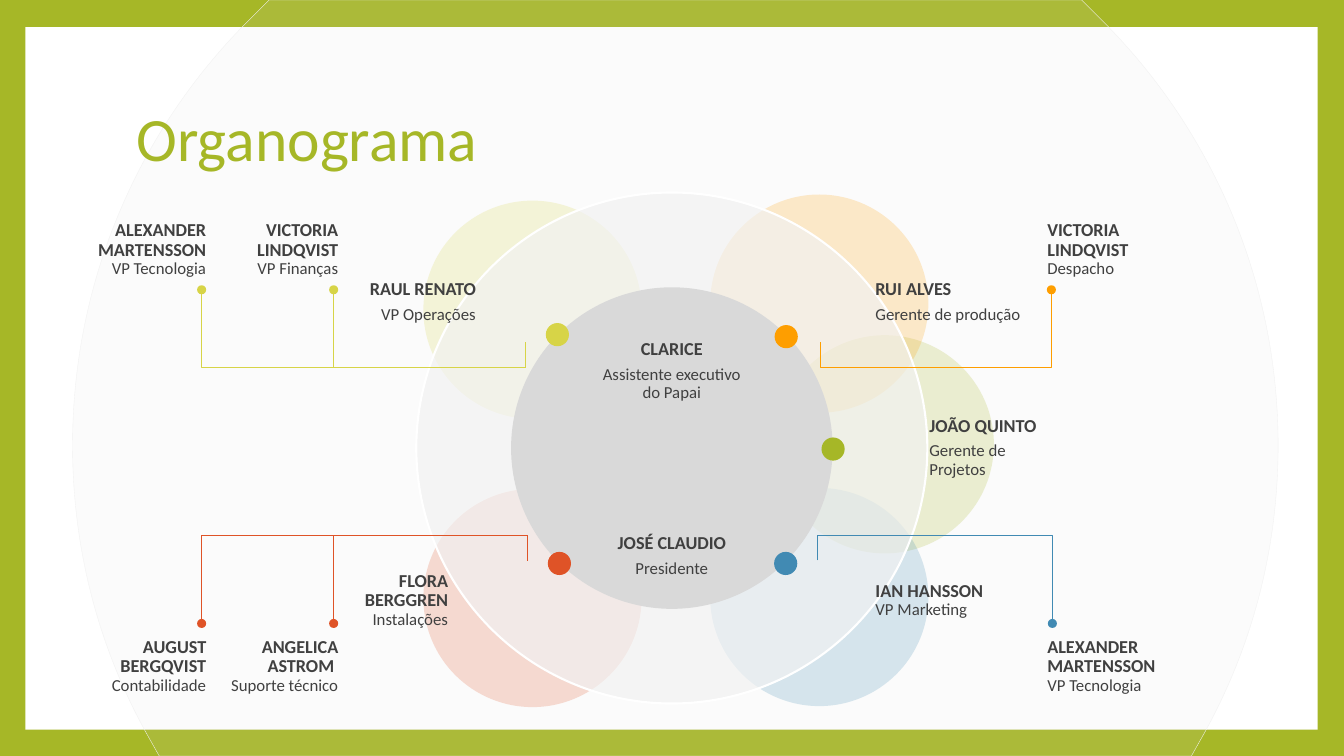
from lxml.etree import SubElement
from pptx import Presentation
from pptx.dml.color import RGBColor
from pptx.enum.shapes import MSO_CONNECTOR, MSO_SHAPE
from pptx.enum.text import MSO_ANCHOR, PP_ALIGN
from pptx.oxml.ns import qn
from pptx.util import Inches, Pt

COLUMNS, ROWS = 133.33, 75
LIME, BLUE, ORANGE, RED, YELLOW = "A6B727", "418AB3", "FE9E00", "DF5327", "D7D447"
WHITE, PALE, GRAY, INK = "FFFFFF", "F2F2F2", "D9D9D9", "404040"
LEFT, CENTER, RIGHT = PP_ALIGN.LEFT, PP_ALIGN.CENTER, PP_ALIGN.RIGHT

BACKDROP_LEFT, BACKDROP_RIGHT = 7.2, 126.8
BACKDROP_SIDE = [
    [(107.3, 0)],
    [(109.2, 1.9)],
    [(120.1, 12.7), (126.8, 27.7), (126.8, 44.2)],
    [(126.8, 54.5), (124.2, 64.2), (119.5, 72.7)],
    [(118.2, 75)],
]
PETALS = [
    (76.95, 33.25, LIME),
    (70.45, 48.4, BLUE),
    (70.45, 19.3, ORANGE),
    (42, 48.5, RED),
    (42, 19.9, YELLOW),
]
HUB_DOTS = [
    (54.15, 32.05, YELLOW),
    (76.85, 32.25, ORANGE),
    (76.8, 54.75, BLUE),
    (81.5, 43.4, LIME),
    (54.35, 54.75, RED),
]
BRANCHES = [
    (52.1, 33.95, 33.1, 29.2, YELLOW),
    (52.1, 33.95, 20, 29.2, YELLOW),
    (52.3, 55.6, 33.1, 61.4, RED),
    (52.3, 55.6, 20, 61.4, RED),
    (81.4, 33.95, 104.3, 29.2, ORANGE),
    (81.1, 55.6, 104.4, 61.4, BLUE),
]
SPACED_LABELS = [
    ("JOSÉ CLAUDIO", "Presidente", 59.35, 51.4, 14.6, 7.5, CENTER),
    ("RAUL RENATO", "VP Operações", 35.4, 27, 11.8, 5.9, RIGHT),
    ("RUI ALVES", "Gerente de produção", 86.85, 27, 16.3, 5.9, LEFT),
    ("JOÃO QUINTO", "Gerente de Projetos", 92.2, 41.45, 11.8, 5.9, LEFT),
]
STACKED_LABELS = [
    ("VICTORIA LINDQVIST", "VP Finanças", 21.75, 21, 11.8, 7.5, RIGHT),
    ("AUGUST BERGQVIST", "Contabilidade", 8.65, 62.35, 11.8, 7.5, RIGHT),
    ("ALEXANDER MARTENSSON", "VP Tecnologia", 7.15, 21, 13.3, 7.5, RIGHT),
    ("ANGELICA ASTROM ", "Suporte técnico", 21.75, 62.35, 11.8, 7.5, RIGHT),
    ("FLORA BERGGREN", "Instalações", 32.65, 56.6, 11.8, 5.9, RIGHT),
    ("IAN HANSSON", "VP Marketing", 86.85, 56.6, 11.8, 5.9, LEFT),
    ("VICTORIA LINDQVIST ", "Despacho", 103.9, 21, 11.8, 7.5, LEFT),
    ("ALEXANDER MARTENSSON", "VP Tecnologia", 103.9, 62.35, 13.3, 7.5, LEFT),
]


def cells(count):
    return Inches(count / 10)


def color(value):
    return RGBColor.from_string(value)


def paint(shape, fill, opacity=100, line=None, width=0):
    shape.shadow.inherit = False
    shape.fill.solid()
    shape.fill.fore_color.rgb = color(fill)
    if opacity < 100:
        tint = shape.fill._xPr.find(qn("a:solidFill"))[0]
        SubElement(tint, qn("a:alpha")).set("val", str(opacity * 1000))
    if line:
        shape.line.color.rgb = color(line)
        shape.line.width = Pt(width)
    else:
        shape.line.fill.background()


def add_disc(slide, left, top, size, *style):
    disc = slide.shapes.add_shape(
        MSO_SHAPE.OVAL, cells(left), cells(top), cells(size), cells(size))
    paint(disc, *style)


def mirrored_side():
    points = [point for segment in BACKDROP_SIDE for point in segment]
    flipped = [(BACKDROP_LEFT + BACKDROP_RIGHT - x, y) for x, y in reversed(points)]
    sizes = [len(segment) for segment in BACKDROP_SIDE]
    segments, start = [], 0
    for size in [1] + sizes[:0:-1]:
        segments.append(flipped[start:start + size])
        start += size
    return segments


def add_backdrop(slide):
    segments = BACKDROP_SIDE + mirrored_side()
    anchors = [(cells(x), cells(y)) for x, y in (part[-1] for part in segments)]
    builder = slide.shapes.build_freeform(*anchors[0])
    builder.add_line_segments(anchors[1:], close=True)
    backdrop = builder.convert_to_shape()
    lines = list(backdrop._element.spPr.iter(qn("a:lnTo")))
    for line, segment in zip(lines, segments[1:]):
        if len(segment) == 3:
            line.tag = qn("a:cubicBezTo")
            line.remove(line[0])
            for x, y in segment:
                point = SubElement(line, qn("a:pt"))
                point.set("x", str(cells(x) - cells(BACKDROP_LEFT)))
                point.set("y", str(cells(y)))
    paint(backdrop, GRAY, 10, PALE, 0.25)


def add_branch(slide, start_x, start_y, end_x, end_y, line, bend=2.5):
    rise, span = abs(end_y - start_y), abs(end_x - start_x)
    left = (start_x + end_x - rise) / 2
    top = (start_y + end_y - span) / 2
    branch = slide.shapes.add_connector(
        MSO_CONNECTOR.ELBOW,
        cells(left), cells(top), cells(left + rise), cells(top + span))
    branch.line.color.rgb = color(line)
    branch.line.width = Pt(0.79)
    goes_up, goes_right = end_y < start_y, end_x > start_x
    properties = branch._element.spPr
    frame = properties.find(qn("a:xfrm"))
    frame.set("rot", str((90 if goes_up else 270) * 60000))
    frame.set("flipH", "1")
    if goes_up == goes_right:
        frame.set("flipV", "1")
    guides = properties.find(qn("a:prstGeom")).find(qn("a:avLst"))
    guide = SubElement(guides, qn("a:gd"))
    guide.set("name", "adj1")
    guide.set("fmla", f"val {round(-bend / rise * 100000)}")
    SubElement(properties, qn("a:effectLst"))


def add_text_frame(slide, left, top, width, height, anchor):
    box = slide.shapes.add_textbox(
        cells(left), cells(top), cells(width), cells(height))
    frame = box.text_frame
    frame.word_wrap = True
    frame.vertical_anchor = anchor
    return frame


def format_paragraph(para, align, ink):
    para.alignment = align
    para.line_spacing = 0.9
    para.font.name = "Calibri"
    para.font.color.rgb = color(ink)


def add_title(slide, text):
    frame = add_text_frame(slide, 12.55, 6.65, 108, 14.8, MSO_ANCHOR.MIDDLE)
    para = frame.paragraphs[0]
    para.text = text
    format_paragraph(para, LEFT, LIME)
    para.font.size = Pt(44)


def add_label(slide, name, role, left, top, width, height, align,
              stacked=False, anchor=MSO_ANCHOR.MIDDLE):
    frame = add_text_frame(slide, left, top, width, height, anchor)
    frame.margin_left = frame.margin_right = 0
    frame.margin_top = frame.margin_bottom = 0
    name_para = role_para = frame.paragraphs[0]
    name_span = name_para.add_run()
    if stacked:
        name_para.add_line_break()
    else:
        role_para = frame.add_paragraph()
        name_para.space_after = Pt(4.5)
    role_span = role_para.add_run()
    for span, text, size, bold in ((name_span, name, 13, True),
                                   (role_span, role, 12, False)):
        span.text = text
        span.font.size = Pt(size)
        span.font.bold = bold
    for para in frame.paragraphs:
        format_paragraph(para, align, INK)


def main():
    deck = Presentation()
    deck.slide_width, deck.slide_height = cells(COLUMNS), cells(ROWS)
    page = deck.slides.add_slide(deck.slide_layouts[6])
    page.background.fill.solid()
    page.background.fill.fore_color.rgb = color(LIME)
    panel = page.shapes.add_shape(
        MSO_SHAPE.RECTANGLE, cells(2.52), cells(2.7), cells(128.2), cells(69.7))
    paint(panel, WHITE)
    add_backdrop(page)
    for left, top, fill in PETALS:
        add_disc(page, left, top, 21.65, fill, 20)
    add_disc(page, 41.3, 19.1, 50.7, PALE, 68, WHITE, 1.5)
    add_disc(page, 50.7, 28.5, 31.9, GRAY)
    add_title(page, "Organograma")
    for label in SPACED_LABELS:
        add_label(page, *label)
    for label in STACKED_LABELS:
        add_label(page, *label, stacked=True)
    add_label(page, "CLARICE", "Assistente executivo do Papai",
              59.35, 33.7, 14.6, 4.3, CENTER, anchor=MSO_ANCHOR.TOP)
    for left, top, fill in HUB_DOTS:
        add_disc(page, left, top, 2.3, fill)
    for branch in BRANCHES:
        end_x, end_y, fill = branch[2:]
        dot_top = end_y - 0.9 if end_y < ROWS / 2 else end_y
        add_disc(page, end_x - 0.45, dot_top, 0.9, fill)
    for branch in BRANCHES:
        add_branch(page, *branch)
    deck.save("out.pptx")


if __name__ == "__main__":
    main()
